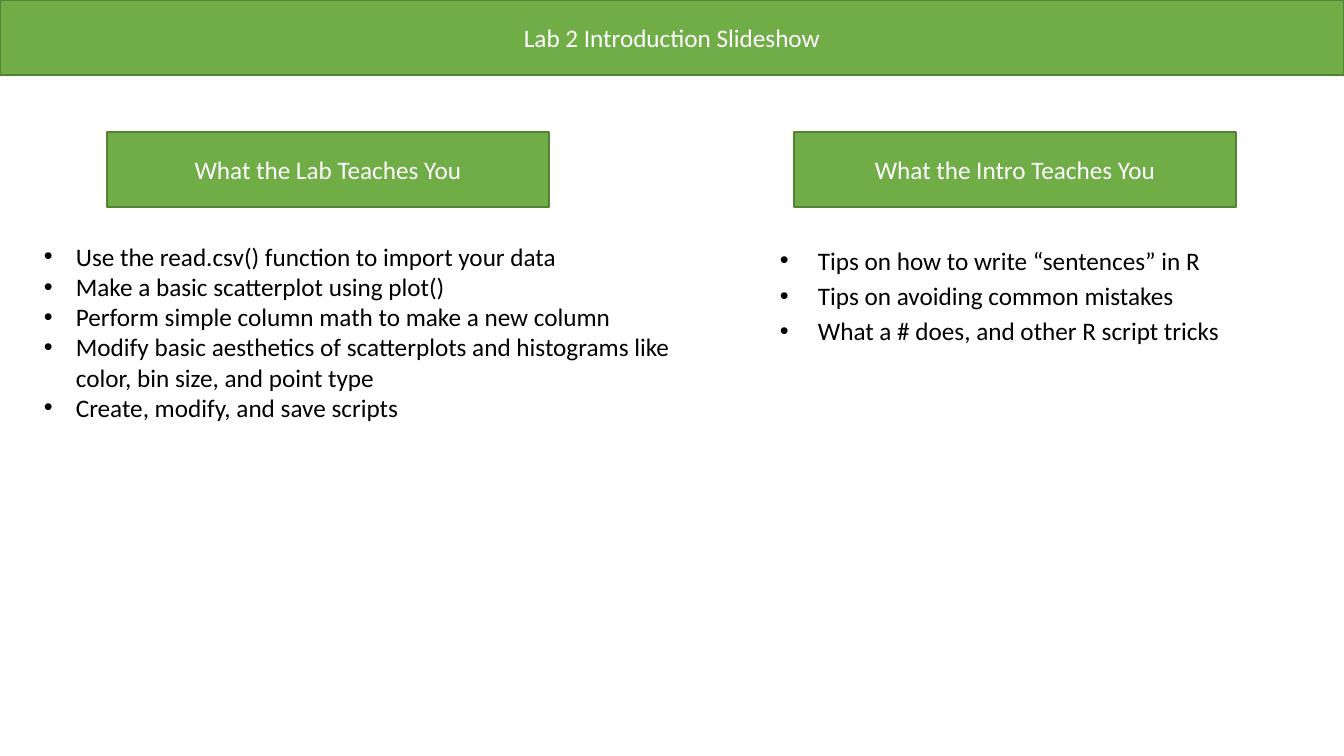
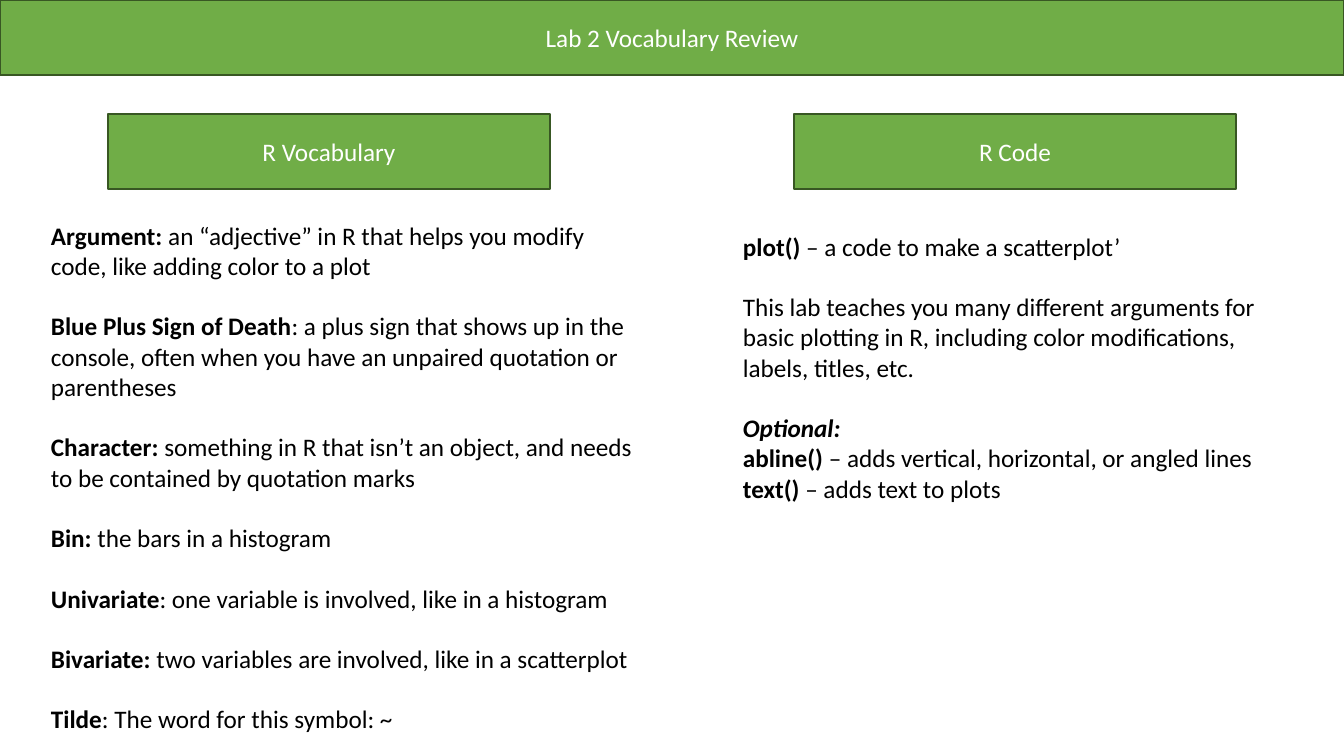
"""Build the two lab introduction slides."""
from typing import NamedTuple

from lxml import etree
from pptx import Presentation
from pptx import util as u
from pptx.dml.color import RGBColor
from pptx.enum import shapes, text
from pptx.oxml.ns import qn

GREEN = RGBColor(0x70, 0xAD, 0x47)
MOSS = RGBColor(0x54, 0x82, 0x35)
PINE = RGBColor(0x38, 0x57, 0x23)
WHITE = RGBColor(0xFF, 0xFF, 0xFF)
BLACK = RGBColor(0, 0, 0)
FONT = "Calibri"
SIZE = 18
WIDE, HIGH = 1344, 756
BAND = 75
HEAD = 442
GAP = 21.6


class Para(NamedTuple):
    """Hold a bold lead, the plain rest and the gap below in points."""
    lead: str = ""
    rest: str = ""
    after: float = 0
    slant: bool = False


TEACH = [
    "Use the read.csv() function to import your data",
    "Make a basic scatterplot using plot()",
    "Perform simple column math to make a new column",
    "Modify basic aesthetics of scatterplots and histograms like color, bin size, and point type",
    "Create, modify, and save scripts",
]
TIPS = [
    "Tips on how to write “sentences” in R",
    "Tips on avoiding common mistakes",
    "What a # does, and other R script tricks",
]
TERMS = [
    ("Argument: ", "an “adjective” in R that helps you modify code, like adding color to a plot"),
    ("Blue Plus Sign of Death", ": a plus sign that shows up in the console, "
     "often when you have an unpaired quotation or parentheses"),
    ("Character: ", "something in R that isn’t an object, and needs to be contained by quotation marks"),
    ("Bin: ", "the bars in a histogram"),
    ("Univariate", ": one variable is involved, like in a histogram"),
    ("Bivariate: ", "two variables are involved, like in a scatterplot"),
    ("Tilde", ": The word for this symbol: ~"),
]
CODE = [
    Para("plot()", " – a code to make a scatterplot’", GAP),
    Para(rest="This lab teaches you many different arguments for basic plotting in R, "
         "including color modifications, labels, titles, etc.", after=GAP),
    Para("Optional:", slant=True),
    Para("abline() ", "– adds vertical, horizontal, or angled lines"),
    Para("text() ", "– adds text to plots"),
]


def px(count):
    """Turn pixels into EMU."""
    return u.Emu(round(count * 914400 / 100.8))


def bullet(par, hang):
    """Give a paragraph a round bullet with a hanging indent."""
    props = par._p.get_or_add_pPr()
    props.set("marL", str(px(hang)))
    props.set("indent", str(-px(hang)))
    etree.SubElement(props, qn("a:buFont")).set("typeface", "Arial")
    etree.SubElement(props, qn("a:buChar")).set("char", "•")


def write(frame, paras, color=BLACK, align=text.PP_ALIGN.LEFT, before=0, hang=0):
    """Fill a text frame with formatted paragraphs."""
    frame.word_wrap = True
    for spot, para in enumerate(paras):
        par = frame.add_paragraph() if spot else frame.paragraphs[0]
        par.alignment = align
        par.space_before = u.Pt(before)
        par.space_after = u.Pt(para.after)
        if hang:
            bullet(par, hang)
        for words, bold in ((para.lead, True), (para.rest, False)):
            if words:
                run = par.add_run()
                run.text = words
                font = run.font
                font.name, font.size = FONT, u.Pt(SIZE)
                font.bold, font.italic = bold, para.slant
                font.color.rgb = color


def paint(shape, label, edge):
    """Style a green bar with a centred white label."""
    shape.fill.solid()
    shape.fill.fore_color.rgb = GREEN
    shape.line.color.rgb = edge
    shape.line.width = u.Pt(1)
    frame = shape.text_frame
    frame.auto_size = text.MSO_AUTO_SIZE.NONE
    frame.vertical_anchor = text.MSO_ANCHOR.MIDDLE
    write(frame, [Para(rest=label)], color=WHITE, align=text.PP_ALIGN.CENTER)


def start(deck, title, edge):
    """Add a slide with its title band."""
    slide = deck.slides.add_slide(deck.slide_layouts[5])
    band = slide.shapes.title
    band.left, band.top, band.width, band.height = 0, 0, px(WIDE), px(BAND)
    paint(band, title, edge)
    return slide


def head(slide, left, top, label, edge):
    """Add a column heading."""
    bar = slide.shapes.add_shape(shapes.MSO_SHAPE.RECTANGLE, px(left), px(top), px(HEAD), px(BAND))
    bar.shadow.inherit = False
    paint(bar, label, edge)


def body(slide, left, top, width, height, paras, **form):
    """Add a text box of paragraphs."""
    box = slide.shapes.add_textbox(px(left), px(top), px(width), px(height))
    write(box.text_frame, paras, **form)


def main():
    """Build and save the deck."""
    deck = Presentation()
    deck.slide_width, deck.slide_height = px(WIDE), px(HIGH)

    intro = start(deck, "Lab 2 Introduction Slideshow", MOSS)
    head(intro, 107, 132, "What the Lab Teaches You", MOSS)
    head(intro, 794, 132, "What the Intro Teaches You", MOSS)
    body(intro, 34, 236, 659, 194, [Para(rest=item) for item in TEACH], hang=32)
    body(intro, 770, 240, 555, 113, [Para(rest=item, after=1.8) for item in TIPS],
         before=1.8, hang=38)

    review = start(deck, "Lab 2 Vocabulary Review", PINE)
    head(review, 108, 114, "R Vocabulary", PINE)
    head(review, 794, 114, "R Code", PINE)
    body(review, 41, 215, 612, 529, [Para(*term, GAP) for term in TERMS])
    body(review, 733, 226, 557, 316, CODE)

    deck.save("out.pptx")


main()
